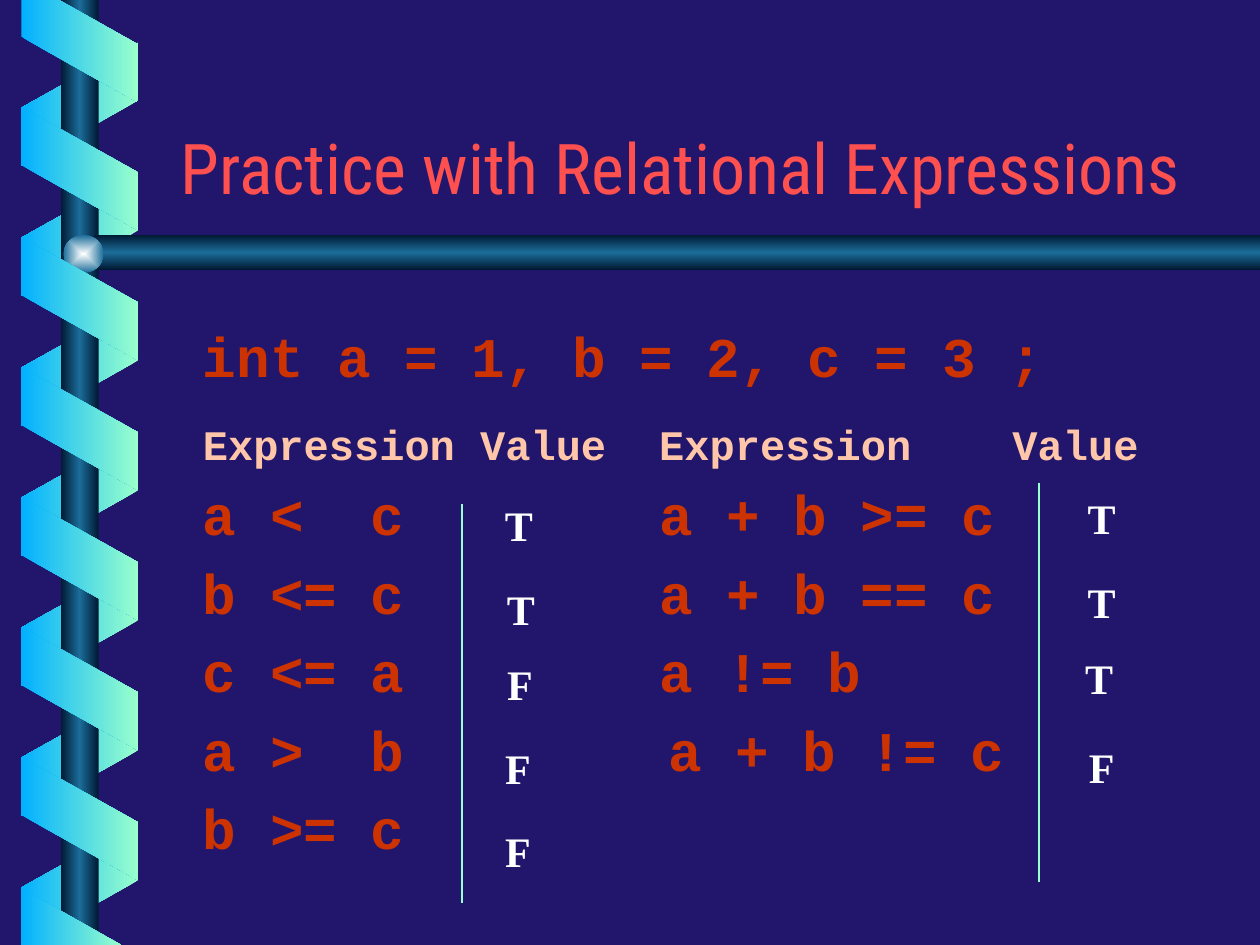
import pptx
import pptx.util
import pptx.oxml
import pptx.oxml.ns
import pptx.dml.color
import pptx.enum.shapes
import pptx.enum.text
from lxml import etree

Cm = pptx.util.Cm
Pt = pptx.util.Pt
RGBColor = pptx.dml.color.RGBColor
SHAPE = pptx.enum.shapes.MSO_SHAPE
ANCHOR = pptx.enum.text.MSO_ANCHOR
ALIGN = pptx.enum.text.PP_ALIGN
qn = pptx.oxml.ns.qn

NAVY = RGBColor(0x22, 0x16, 0x6C)
CORAL = RGBColor(0xFF, 0x50, 0x50)
RUST = RGBColor(0xCC, 0x33, 0x00)
PEACH = RGBColor(0xFF, 0xC6, 0xA9)
WHITE = RGBColor(0xFF, 0xFF, 0xFF)
MINT = RGBColor(0x99, 0xFF, 0xCC)
SKY = RGBColor(0x01, 0xB0, 0xFF)
INK = RGBColor(0x00, 0x19, 0x32)
STEEL = RGBColor(0x1C, 0x6D, 0x9A)
PEARL = RGBColor(0xFE, 0xFF, 0xFF)

TITLE = "Practice with Relational Expressions"
COLUMNS = (3.38, 9.2, 16.32)
CODE_LINES = [
    ("int a = 1, b = 2, c = 3 ;", 32, RUST, 6.4, COLUMNS),
    ("Expression Value\tExpression\tValue", 24, PEACH, 17, COLUMNS),
    ("a <\tc\ta + b >= c", 32, RUST, 6.4, COLUMNS),
    ("b <= c\ta + b == c", 32, RUST, 6.4, COLUMNS),
    ("c <= a\ta != b", 32, RUST, 6.4, COLUMNS),
    ("a >\tb\ta + b != c", 32, RUST, 6.4, (3.38, 9.38)),
    ("b >= c", 32, RUST, 6.4, COLUMNS),
]
ANSWERS = [
    ("T", 10.46, 9.95), ("T", 10.5, 11.63), ("F", 10.48, 13.16),
    ("F", 10.44, 14.84), ("F", 10.44, 16.51),
    ("T", 22.21, 9.8), ("T", 22.21, 11.5), ("T", 22.16, 13.03),
    ("F", 22.21, 14.82),
]
DIVIDERS = [(9.31, 10.16), (20.95, 9.73)]
DIVIDER_LENGTH = 8.05
ANSWER_WIDTH, ANSWER_HEIGHT = 1.1, 1.27

COIL_PITCH = 2.62
COIL_SIZE = (2.49, 2.36)
COIL_LEFT = 0.36
COIL_TOP_END = [(0.43, 0), (0.43, 0.74), (2.77, 2.06), (2.77, 0.89), (1.19, 0)]
COIL_BOTTOM_END = [(2.44, 19.05), (0.43, 17.91), (0.43, 19.05)]

presentation = pptx.Presentation()
presentation.slide_width, presentation.slide_height = Cm(25.4), Cm(19.05)
slide = presentation.slides.add_slide(presentation.slide_layouts[6])
slide.background.fill.solid()
slide.background.fill.fore_color.rgb = NAVY
shapes = slide.shapes


def paint(shape, colors, angle=0, radial=False):
    shape.shadow.inherit = False
    shape.line.fill.background()
    shape.fill.gradient()
    gradient = shape.fill._xPr.find(qn("a:gradFill"))
    gradient.set("rotWithShape", "0")
    for child in list(gradient):
        gradient.remove(child)
    stops = etree.SubElement(gradient, qn("a:gsLst"))
    for index, color in enumerate(colors):
        position = 100000 * index // (len(colors) - 1)
        stop = etree.SubElement(stops, qn("a:gs"), pos=str(position))
        etree.SubElement(stop, qn("a:srgbClr"), val=str(color))
    if radial:
        center = etree.SubElement(gradient, qn("a:path"), path="shape")
        etree.SubElement(center, qn("a:fillToRect"),
                         l="50000", t="50000", r="50000", b="50000")
    else:
        etree.SubElement(gradient, qn("a:lin"), ang=str(angle * 60000), scaled="1")


def add_preset(kind, box, flip=False, adjustment=None):
    shape = shapes.add_shape(kind, *map(Cm, box))
    if adjustment is not None:
        shape.adjustments[0] = adjustment
    if flip:
        shape._element.spPr.xfrm.set("flipH", "1")
    return shape


def add_coils(count, first_top, rotation, flip, colors):
    for turn in range(count):
        box = (COIL_LEFT, first_top + turn * COIL_PITCH, *COIL_SIZE)
        coil = add_preset(SHAPE.PARALLELOGRAM, box, flip, 0.56)
        coil.rotation = rotation
        paint(coil, colors)


def add_text(box, lines, font, bold, wrap=True, anchor=ANCHOR.TOP, align=ALIGN.LEFT):
    frame = shapes.add_textbox(*map(Cm, box)).text_frame
    frame.word_wrap = wrap
    frame.vertical_anchor = anchor
    frame.text = "\n".join(line[0] for line in lines)
    for paragraph, (_, size, color, *_) in zip(frame.paragraphs, lines):
        paragraph.alignment = align
        for run in paragraph.runs:
            run.font.name = font
            run.font.size = Pt(size)
            run.font.bold = bold
            run.font.color.rgb = color
    return frame


add_coils(7, 0.92, 90, True, (MINT, SKY))

pole = add_preset(SHAPE.RECTANGLE, (1.23, 0, 0.76, 19.05))
paint(pole, (INK, STEEL, INK))
crossbar = add_preset(SHAPE.PENTAGON, (1.52, 4.74, 23.88, 0.7), True, 0.59)
paint(crossbar, (INK, STEEL, INK), 90)
knob = add_preset(SHAPE.OVAL, (1.28, 4.74, 0.81, 0.76))
paint(knob, (PEARL, STEEL), radial=True)

add_coils(6, 2.22, 270, False, (SKY, MINT))
for corners in (COIL_TOP_END, COIL_BOTTOM_END):
    points = [(Cm(x), Cm(y)) for x, y in corners]
    outline = shapes.build_freeform(*points[0])
    outline.add_line_segments(points[1:], close=True)
    paint(outline.convert_to_shape(), (SKY, MINT))

add_text((3.39, 1.15, 21.59, 3.18), [(TITLE, 40, CORAL)], "Roboto Condensed",
         False, anchor=ANCHOR.BOTTOM)

code = add_text((3.84, 6.35, 21.5, 12.57), CODE_LINES, "Courier New", True)
for paragraph, (_, _, _, space, tabs) in zip(code.paragraphs, CODE_LINES):
    paragraph.space_before = Pt(space)
    properties = paragraph._p.get_or_add_pPr()
    tab_list = etree.SubElement(properties, qn("a:tabLst"))
    for tab in tabs:
        etree.SubElement(tab_list, qn("a:tab"), pos=str(Cm(tab)), algn="l")

for x, top in DIVIDERS:
    divider = shapes.add_connector(pptx.enum.shapes.MSO_CONNECTOR.STRAIGHT,
                                   Cm(x), Cm(top), Cm(x), Cm(top + DIVIDER_LENGTH))
    divider.line.color.rgb = MINT
    divider.line.width = Pt(1)
    etree.SubElement(divider._element.spPr, qn("a:effectLst"))

for answer, center, top in ANSWERS:
    box = (center - ANSWER_WIDTH / 2, top, ANSWER_WIDTH, ANSWER_HEIGHT)
    add_text(box, [(answer, 24, WHITE)], "Times New Roman", True,
             wrap=False, align=ALIGN.CENTER)

presentation.save("out.pptx")
